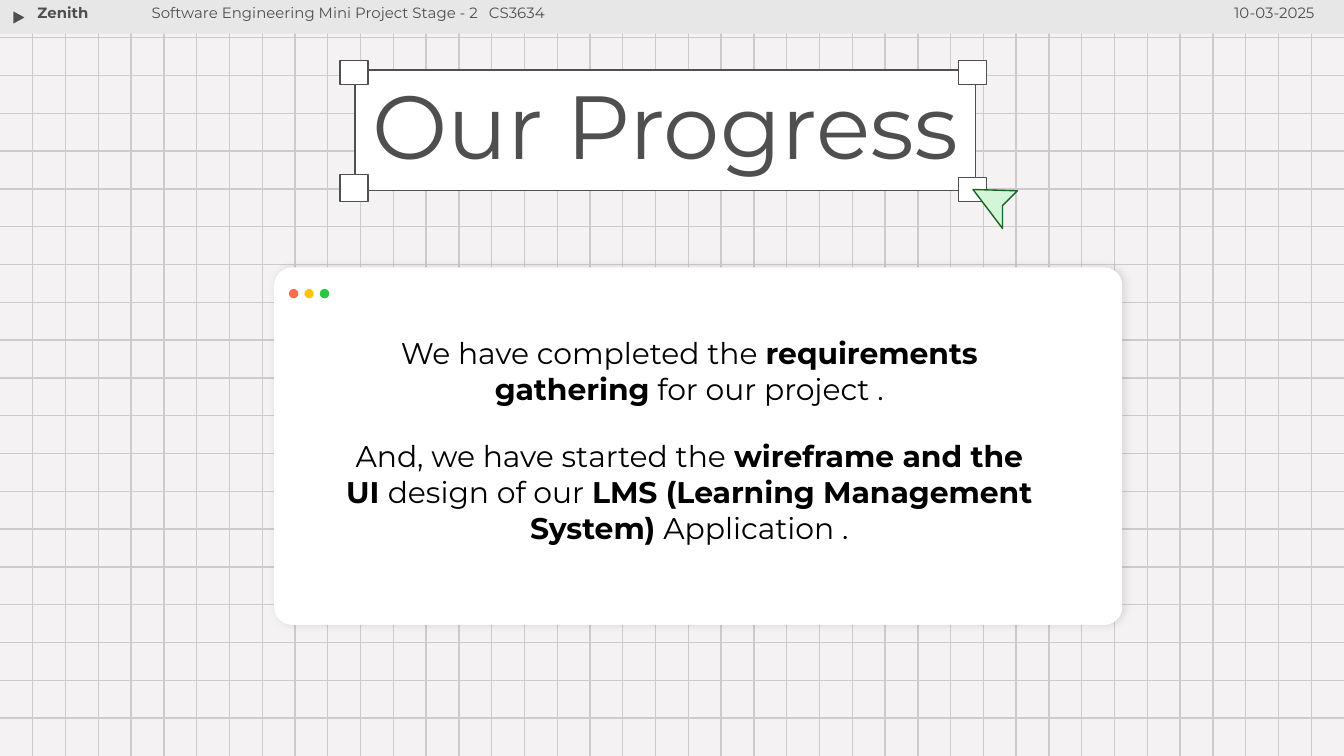
"""Build the project progress slide with a window card on grid paper."""
from lxml.etree import SubElement
from pptx import Presentation
from pptx.dml.color import RGBColor
from pptx.enum.shapes import MSO_CONNECTOR, MSO_SHAPE
from pptx.enum.text import PP_ALIGN
from pptx.oxml import parse_xml
from pptx.oxml.ns import nsdecls, qn
from pptx.util import Inches, Pt


def paint(shape, fill, line=None):
    shape.shadow.inherit = False
    shape.fill.solid()
    shape.fill.fore_color.rgb = RGBColor.from_string(fill)
    if line:
        shape.line.color.rgb = RGBColor.from_string(line)
        shape.line.width = Pt(0.75)
    else:
        shape.line.fill.background()
    return shape


def write(box, paragraphs, size, color, inset=0.1, **paragraph_format):
    frame = slide.shapes.add_textbox(*map(Inches, box)).text_frame
    frame_format = {"word_wrap": True, "margin_top": Inches(inset), "margin_bottom": Inches(inset)}
    for name, value in frame_format.items():
        setattr(frame, name, value)
    for index, runs in enumerate(paragraphs):
        paragraph = frame.add_paragraph() if index else frame.paragraphs[0]
        for name, value in paragraph_format.items():
            setattr(paragraph, name, value)
        for words, bold in runs:
            run = paragraph.add_run()
            run.text = words
            run_format = {"name": "Montserrat", "size": Pt(size), "bold": bold}
            for name, value in run_format.items():
                setattr(run.font, name, value)
            run.font.color.rgb = RGBColor.from_string(color)
    return frame


GREY, WHITE, BAR = "4F4F4F", "FFFFFF", "E7E7E7"
COLUMNS, ROWS = 41, 20

presentation = Presentation()
presentation.slide_width = Inches(10)
presentation.slide_height = Inches(10) * 9 // 16
width, height = presentation.slide_width, presentation.slide_height
slide = presentation.slides.add_slide(presentation.slide_layouts[6])
slide.background.fill.solid()
slide.background.fill.fore_color.rgb = RGBColor.from_string("F4F2F2")

row_heights = [height * row // ROWS for row in range(1, ROWS)]
column_lefts = [width * column // COLUMNS for column in range(1, COLUMNS)]
grid = [(0, y, width, y) for y in row_heights] + [(x, 0, x, height) for x in column_lefts]
for ends in grid:
    grid_line = slide.shapes.add_connector(MSO_CONNECTOR.STRAIGHT, *ends)
    grid_line.line.color.rgb = RGBColor.from_string("CCCCCC")
    grid_line.line.width = Pt(0.75)
    SubElement(grid_line._element.spPr, qn("a:effectLst"))

header_bar = (0, 0, 10, 0.25)
paint(slide.shapes.add_shape(MSO_SHAPE.RECTANGLE, *map(Inches, header_bar)), BAR)
play_mark = (0.09, 0.08, 0.11, 0.1)
play = paint(slide.shapes.add_shape(MSO_SHAPE.ISOSCELES_TRIANGLE, *map(Inches, play_mark)), GREY, BAR)
play.rotation = 90

header_texts = [
    (8.63, 1.25, "10-03-2025", False, PP_ALIGN.RIGHT),
    (0.18, 0.85, "Zenith", True, PP_ALIGN.LEFT),
    (1.03, 2.65, "Software Engineering Mini Project Stage - 2", False, PP_ALIGN.LEFT),
    (3.54, 1, "CS3634", False, PP_ALIGN.LEFT),
]
for left, span, words, bold, alignment in header_texts:
    write((left, -0.04, span, 0.34), [[(words, bold)]], 8, GREY, alignment=alignment)

window_box = (2.04, 1.99, 6.31, 2.66)
window = paint(slide.shapes.add_shape(MSO_SHAPE.ROUNDED_RECTANGLE, *map(Inches, window_box)), WHITE)
window.adjustments[0] = 0.05
window_effects = window._element.spPr.find(qn("a:effectLst"))
window_effects.append(parse_xml(
    f'<a:outerShdw {nsdecls("a")} blurRad="{Pt(4.5)}" dist="{Pt(1.5)}" dir="0" algn="bl" rotWithShape="0">'
    '<a:srgbClr val="000000"><a:alpha val="11000"/></a:srgbClr></a:outerShdw>'))
for index, color in enumerate(["FF6B4D", "FFC600", "28C840"]):
    button = (2.15 + index * 0.115, 2.15, 0.07, 0.07)
    paint(slide.shapes.add_shape(MSO_SHAPE.OVAL, *map(Inches, button)), color)

progress = [
    [("We have completed the ", False), ("requirements gathering", True), (" for our project .", False)],
    [("And, we have started the ", False), ("wireframe and the UI ", True), ("design of our ", False),
     ("LMS (Learning Management System)", True), (" Application .", False)],
]
message = write((2.45, 2.44, 5.36, 1.68), progress, 16, "000000", 0.05, alignment=PP_ALIGN.CENTER)
message.paragraphs[1].space_before = Pt(17)

title_frame = [
    (2.64, 0.52, 4.62, 0.9),
    (2.53, 0.45, 0.21, 0.18),
    (7.13, 0.45, 0.21, 0.18),
    (7.13, 1.32, 0.21, 0.18),
    (2.53, 1.3, 0.21, 0.2),
]
for box in title_frame:
    paint(slide.shapes.add_shape(MSO_SHAPE.RECTANGLE, *map(Inches, box)), WHITE, GREY)
write((2.67, 0.51, 5.49, 0.93), [[("Our Progress", False)]], 48, GREY, line_spacing=0.9)

cursor_points = [(7.24, 1.41), (7.46, 1.7), (7.46, 1.53), (7.57, 1.42)]
tip, *cursor_tail = [(Inches(x), Inches(y)) for x, y in cursor_points]
cursor_outline = slide.shapes.build_freeform(*tip)
cursor_outline.add_line_segments(cursor_tail, close=True)
paint(cursor_outline.convert_to_shape(), "D2F6D7", "146420")

presentation.save("out.pptx")
